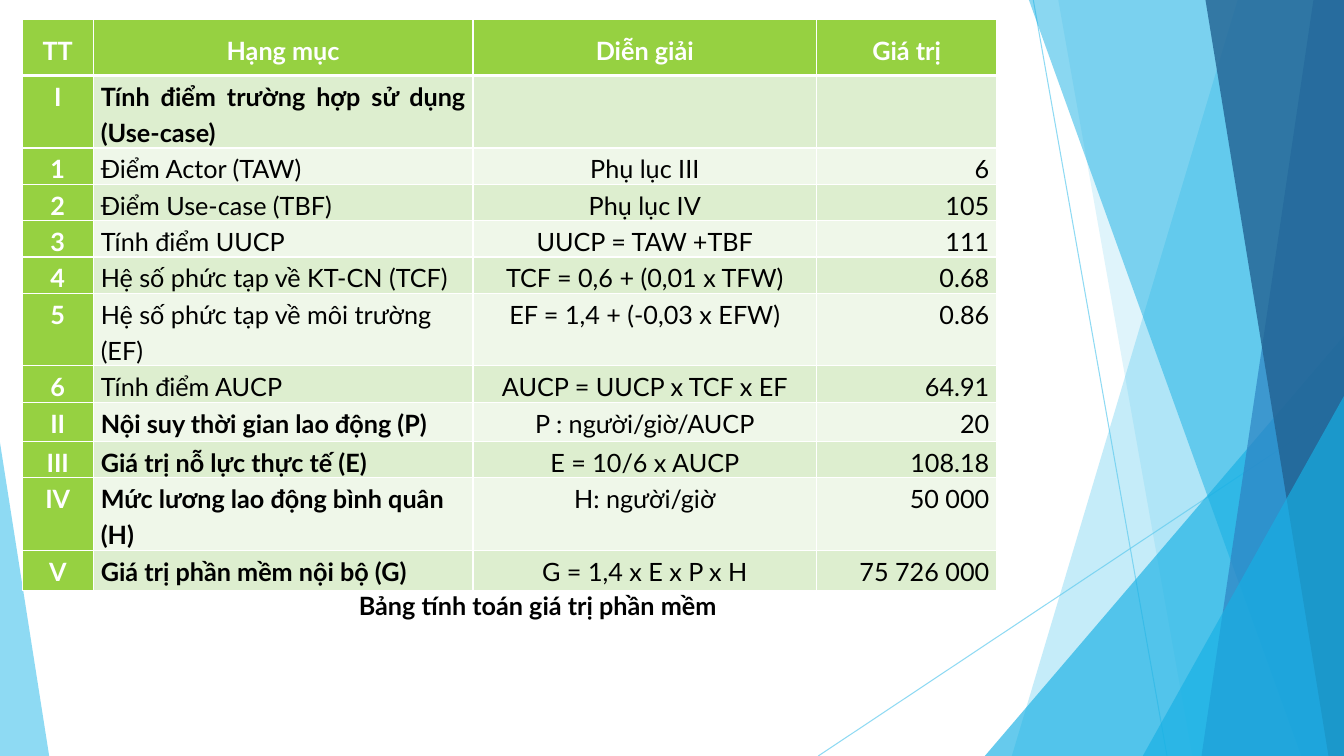
from lxml import etree
from pptx import Presentation
from pptx import util as u
from pptx.dml import color
from pptx.enum import shapes, text
from pptx.oxml import ns

CM = u.Cm
AL = text.PP_ALIGN
FONT = {"name": "Lato", "size": u.Pt(18)}
INSET = {"margin_left": CM(0.19), "margin_right": CM(0.19),
         "margin_top": 0, "margin_bottom": 0}
SPACE = {"line_spacing": 1.2, "space_before": u.Pt(6), "space_after": u.Pt(6)}
WIDTHS = [1.79, 9.57, 8.66, 4.54]
HEIGHTS = [1.42, 1.35, 0.74, 0.76, 0.76, 0.91, 1.35, 0.89, 0.99, 0.76, 1.35, 1.02]
ROWS = [
    ("TT", "Hạng mục", "Diễn giải", "Giá trị"),
    ("I", "Tính điểm trường hợp sử dụng (Use-case)", "", ""),
    ("1", "Điểm Actor (TAW)", "Phụ lục III", "6"),
    ("2", "Điểm Use-case (TBF)", "Phụ lục IV", "105"),
    ("3", "Tính điểm UUCP", "UUCP = TAW +TBF", "111"),
    ("4", "Hệ số phức tạp về KT-CN (TCF)", "TCF = 0,6 + (0,01 x TFW)", "0.68"),
    ("5", "Hệ số phức tạp về môi trường (EF)", "EF = 1,4 + (-0,03 x EFW)", "0.86"),
    ("6", "Tính điểm AUCP", "AUCP = UUCP x TCF x EF", "64.91"),
    ("II", "Nội suy thời gian lao động (P)", "P : người/giờ/AUCP", "20"),
    ("III", "Giá trị nỗ lực thực tế (E)", "E = 10/6 x AUCP", "108.18"),
    ("IV", "Mức lương lao động bình quân (H)", "H: người/giờ", "50 000"),
    ("V", "Giá trị phần mềm nội bộ (G)", "G = 1,4 x E x P x H", "75 726 000"),
]


def put(item, *sets):
    for group in sets:
        for key, val in group.items():
            setattr(item, key, val)


def paint(fill, tone, alpha=100):
    fill.solid()
    fill.fore_color.rgb = color.RGBColor.from_string(tone)
    if alpha < 100:
        node = fill._xPr.find(".//" + ns.qn("a:srgbClr"))
        etree.SubElement(node, ns.qn("a:alpha"), val=str(alpha * 1000))


def write(para, words, tone, bold, align):
    para.alignment = align
    run = para.add_run()
    run.text = words
    put(run.font, FONT, {"bold": bold})
    run.font.color.rgb = color.RGBColor.from_string(tone)


def finish(shape, tone, alpha):
    shape.shadow.inherit = False
    paint(shape.fill, tone, alpha)
    shape.line.fill.background()


def wedge(slide, x, y, w, h, apex, tone, alpha):
    shape = slide.shapes.add_shape(
        shapes.MSO_SHAPE.ISOSCELES_TRIANGLE, CM(x), CM(y), CM(w), CM(h))
    shape.adjustments[0] = apex
    finish(shape, tone, alpha)


def band(slide, x, y, w, h, top, base, tone, alpha):
    form = slide.shapes.build_freeform(CM(x + top), CM(y))
    ends = [(x + w, y), (x + w, y + h), (x + base, y + h)]
    form.add_line_segments([(CM(a), CM(b)) for a, b in ends], close=True)
    finish(form.convert_to_shape(), tone, alpha)


def ray(slide, x1, y1, x2, y2):
    line = slide.shapes.add_connector(
        shapes.MSO_CONNECTOR.STRAIGHT, CM(x1), CM(y1), CM(x2), CM(y2))
    line.line.width = u.Pt(0.75)
    paint(line.line.fill, "5FCBEF", 70)
    etree.SubElement(line._element.spPr, ns.qn("a:effectLst"))


def facets(slide, x, y, w, h):
    ray(slide, x + 5.42, y, x + 8.79, y + h)
    ray(slide, x + w, y + 10.24, x, y + h)
    for top, base, tone, alpha in [(10.57, 4.88, "5FCBEF", 36),
                                   (6.05, 9.43, "5FCBEF", 20)]:
        band(slide, x, y, w, h, top, base, tone, alpha)
    wedge(slide, x + 4.2, y + 8.46, w - 4.2, h - 8.46, 1, "17B0E4", 66)
    for top, base, tone, alpha in [(5.31, 12.17, "17B0E4", 50),
                                   (12.48, 9.66, "2E83C3", 70),
                                   (9.76, 12.86, "226292", 80)]:
        band(slide, x, y, w, h, top, base, tone, alpha)
    wedge(slide, x + 8.18, y + 9.98, w - 8.18, h - 9.98, 1, "17B0E4", 66)


def edge(cell, head, under):
    props = cell._tc.get_or_add_tcPr()
    for side in "LRTB":
        thick = (side == "B" and head) or (side == "T" and under)
        line = etree.SubElement(props, ns.qn("a:ln" + side),
                                w=str(u.Pt(3 if thick else 1)))
        fill = etree.SubElement(line, ns.qn("a:solidFill"))
        etree.SubElement(fill, ns.qn("a:srgbClr"), val="FFFFFF")


def costs(slide, x, y, w, h):
    table = slide.shapes.add_table(
        len(ROWS), len(WIDTHS), CM(x), CM(y), CM(w), CM(h)).table
    table.horz_banding = False
    for col, size in zip(table.columns, WIDTHS):
        col.width = CM(size)
    for r, (row, size) in enumerate(zip(ROWS, HEIGHTS)):
        table.rows[r].height = CM(size)
        label = AL.LEFT if row[0] in ("5", "IV") else AL.JUSTIFY
        aligns = [AL.CENTER, label, AL.CENTER, AL.RIGHT]
        for c, words in enumerate(row):
            cell = table.cell(r, c)
            head = r == 0
            key = head or c == 0
            put(cell, INSET)
            if head:
                cell.vertical_anchor = text.MSO_ANCHOR.MIDDLE
            edge(cell, head, r == 1)
            paint(cell.fill, "96D141" if key else "DDEECF" if r % 2 else "EFF7E9")
            if words:
                para = cell.text_frame.paragraphs[0]
                put(para, SPACE)
                bold = key or (c == 1 and not row[0].isdigit())
                write(para, words, "FFFFFF" if key else "000000", bold,
                      AL.CENTER if head else aligns[c])


def title(slide, x, y, w, h):
    frame = slide.shapes.add_textbox(CM(x), CM(y), CM(w), CM(h)).text_frame
    put(frame, {"word_wrap": True,
                "auto_size": text.MSO_AUTO_SIZE.SHAPE_TO_FIT_TEXT})
    write(frame.paragraphs[0], "Bảng tính toán giá trị phần mềm",
          "000000", True, AL.CENTER)


def main():
    deck = Presentation()
    put(deck, {"slide_width": CM(33.87), "slide_height": CM(19.05)})
    slide = deck.slides.add_slide(deck.slide_layouts[6])
    facets(slide, 20.62, 0, 13.25, 19.05)
    wedge(slide, 0, 11.15, 1.24, 7.9, 0, "5FCBEF", 70)
    title(slide, 1.27, 14.76, 24.56, 1.02)
    costs(slide, 0.56, 0.48, sum(WIDTHS), sum(HEIGHTS))
    deck.save("out.pptx")


if __name__ == "__main__":
    main()
